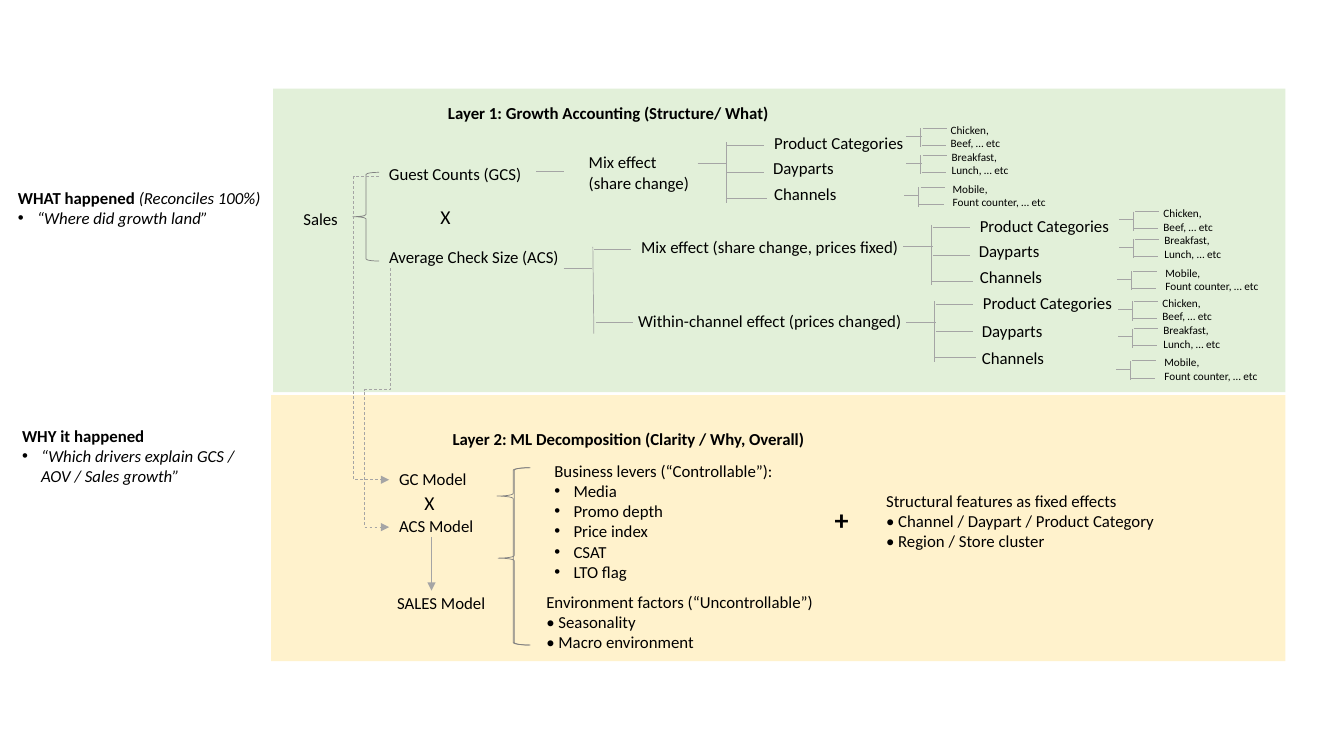
"""Builds the two-layer sales growth decomposition slide."""
from lxml.etree import SubElement
from pptx import Presentation
from pptx.dml.color import RGBColor
from pptx.enum.dml import MSO_LINE
from pptx.enum.shapes import MSO_CONNECTOR, MSO_SHAPE
from pptx.enum.text import MSO_AUTO_SIZE, PP_ALIGN
from pptx.oxml.ns import qn
from pptx.util import Pt

PX = 9144
BLACK = RGBColor(0x00, 0x00, 0x00)
GREEN = RGBColor(0xE2, 0xF0, 0xD9)
YELLOW = RGBColor(0xFF, 0xF2, 0xCC)
BRACE_GREY = RGBColor(0x80, 0x80, 0x80)
LINE_GREY = RGBColor(0xA5, 0xA5, 0xA5)

prs = Presentation()
prs.slide_width, prs.slide_height = 1333 * PX, 750 * PX
s = prs.slides.add_slide(prs.slide_layouts[6])


def text(box, paragraphs, size=12, wrap=True, align=PP_ALIGN.LEFT, bulleted=False):
    """Add a text box; each paragraph is a string or a list of (text, style) runs."""
    tf = s.shapes.add_textbox(*[v * PX for v in box]).text_frame
    tf.word_wrap = wrap
    tf.auto_size = MSO_AUTO_SIZE.SHAPE_TO_FIT_TEXT
    for i, runs in enumerate(paragraphs):
        p = tf.add_paragraph() if i else tf.paragraphs[0]
        p.alignment = align
        if bulleted and i:
            pPr = p._p.get_or_add_pPr()
            pPr.set("marL", str(19 * PX))
            pPr.set("indent", str(-19 * PX))
            SubElement(pPr, qn("a:buFont")).set("typeface", "Arial")
            SubElement(pPr, qn("a:buChar")).set("char", "•")
        for content, style in [(runs, "")] if isinstance(runs, str) else runs:
            r = p.add_run()
            r.text = content
            r.font.color.rgb = BLACK
            formats = {"name": "Calibri", "size": Pt(size), "bold": style == "b", "italic": style == "i"}
            for name, value in formats.items():
                setattr(r.font, name, value)


def line(x1, y1, x2, y2, kind=MSO_CONNECTOR.STRAIGHT, arrow=False):
    """Add a thin grey connector, with an arrowhead at its end if asked."""
    c = s.shapes.add_connector(kind, *[v * PX for v in (x1, y1, x2, y2)])
    c.line.color.rgb = LINE_GREY
    c.line.width = Pt(0.5)
    if kind == MSO_CONNECTOR.ELBOW:
        c.line.dash_style = MSO_LINE.DASH
    if arrow:
        SubElement(c.line._get_or_add_ln(), qn("a:tailEnd")).set("type", "triangle")
    SubElement(c._element.spPr, qn("a:effectLst"))
    return c


for box, color in [((269, 392, 1006, 264), YELLOW), ((271, 88, 1004, 301), GREEN)]:
    panel = s.shapes.add_shape(MSO_SHAPE.RECTANGLE, *[v * PX for v in box])
    panel.shadow.inherit = False
    panel.fill.solid()
    panel.fill.fore_color.rgb = color
    panel.line.fill.background()

for box, adjustments in [
    ((350, 171, 26, 88), (0.08, 0.5)),
    ((493, 464, 32, 176), (0.08, 0.16)),
    ((494, 464, 32, 176), (0.08, 0.51)),
]:
    brace = s.shapes.add_shape(MSO_SHAPE.LEFT_BRACE, *[v * PX for v in box])
    brace.shadow.inherit = False
    brace.fill.background()
    brace.line.color.rgb = BRACE_GREY
    brace.line.width = Pt(0.5)
    for i, value in enumerate(adjustments):
        brace.adjustments[i] = value

for box, heading in [
    ((430, 97, 347, 30), "Layer 1: Growth Accounting (Structure/ What)"),
    ((376, 420, 495, 30), "Layer 2: ML Decomposition (Clarity / Why, Overall)"),
]:
    text(box, [[(heading, "b")]], align=PP_ALIGN.CENTER)

text((8, 181, 297, 71), [[("WHAT happened", "b"), (" (Reconciles 100%)", "i")],
                         [("“Where did growth land”", "i")]], bulleted=True)
text((12, 417, 232, 71), [[("WHY it happened", "b")],
                          [("“Which drivers explain GCS / AOV / Sales growth”", "i")]], bulleted=True)

for box, label in [
    ((376, 157, 153, 35), "Guest Counts (GCS)"),
    ((376, 240, 191, 35), "Average Check Size (ACS)"),
    ((626, 230, 287, 35), "Mix effect (share change, prices fixed)"),
    ((623, 303, 292, 35), "Within-channel effect (prices changed)"),
    ((386, 460, 90, 30), "GC Model"),
]:
    text(box, [label], wrap=False)

for box, label in [
    ((291, 202, 59, 35), "Sales"),
    ((574, 146, 129, 50), "Mix effect (share change)"),
    ((386, 507, 104, 30), "ACS Model"),
    ((384, 583, 118, 30), "SALES Model"),
]:
    text(box, [label])

for box in [(427, 198, 61, 39), (411, 482, 62, 34)]:
    text(box, ["X"], size=14)
text((818, 494, 62, 44), [[("+", "b")]], size=20)

text((540, 452, 244, 131), ["Business levers (“Controllable”):", "Media", "Promo depth",
                            "Price index", "CSAT", "LTO flag"], bulleted=True)
text((532, 582, 286, 71), ["Environment factors (“Uncontrollable”)", "• Seasonality", "• Macro environment"])
text((869, 482, 353, 71), ["Structural features as fixed effects",
                           "• Channel / Daypart / Product Category", "• Region / Store cluster"])

for ends in [
    (532, 170, 559, 170),
    (559, 266, 587, 266),
    (588, 245, 589, 331),
    (589, 247, 626, 247),
    (591, 320, 628, 320),
]:
    line(*ends)

CATEGORIES = [("Product Categories", 150), ("Dayparts", 81), ("Channels", 82)]
for x, y, offsets in [
    (720, 141, [(38, -14), (37, 11), (38, 36)]),
    (924, 223, [(38, -14), (37, 11), (38, 37)]),
    (927, 299, [(38, -14), (37, 14), (37, 41)]),
]:
    line(x, y, x, y + 60)
    line(x - 28, y + 21, x + 1, y + 21)
    line(x + 1, y + 3, x + 38, y + 3)
    line(x + 1, y + 30, x + 38, y + 30)
    line(x, y + 56, x + 41, y + 56)
    for (label, width), (dx, dy) in zip(CATEGORIES, offsets):
        text((x + dx, y + dy, width, 35), [label], wrap=False)

EXAMPLES = [
    (0, 0, 20, 71, ["Chicken,", "Beef, … etc"]),
    (0, 27, 21, 77, ["Breakfast,", "Lunch, … etc"]),
    (-2, 59, 24, 115, ["Mobile,", "Fount counter, … etc"]),
]
for left, top in [(913, 127), (1124, 210), (1123, 299)]:
    for dx, dy, text_dx, width, words in EXAMPLES:
        x, y = left + dx, top + dy
        line(x, y, x, y + 19)
        line(x - 14, y + 8, x + 1, y + 8)
        line(x + 2, y, x + 26, y)
        line(x + 1, y + 17, x + 25, y + 17)
        text((x + text_dx, y - 10, width, 37), words, size=8, wrap=False)

line(428, 533, 428, 586, arrow=True)
guest_link = line(376, 175, 386, 476, MSO_CONNECTOR.ELBOW, arrow=True)
check_link = line(258, 394, 515, 395, MSO_CONNECTOR.ELBOW, arrow=True)
check_link._element.spPr.find(qn("a:xfrm")).set("rot", "5400000")
for link, preset, adjustments in [
    (guest_link, "bentConnector3", [-250000]),
    (check_link, "bentConnector4", [47000, 2600000]),
]:
    geometry = link._element.spPr.find(qn("a:prstGeom"))
    geometry.set("prst", preset)
    guides = geometry.find(qn("a:avLst"))
    for i, value in enumerate(adjustments, 1):
        guide = SubElement(guides, qn("a:gd"))
        guide.set("name", f"adj{i}")
        guide.set("fmla", f"val {value}")

prs.save("out.pptx")
